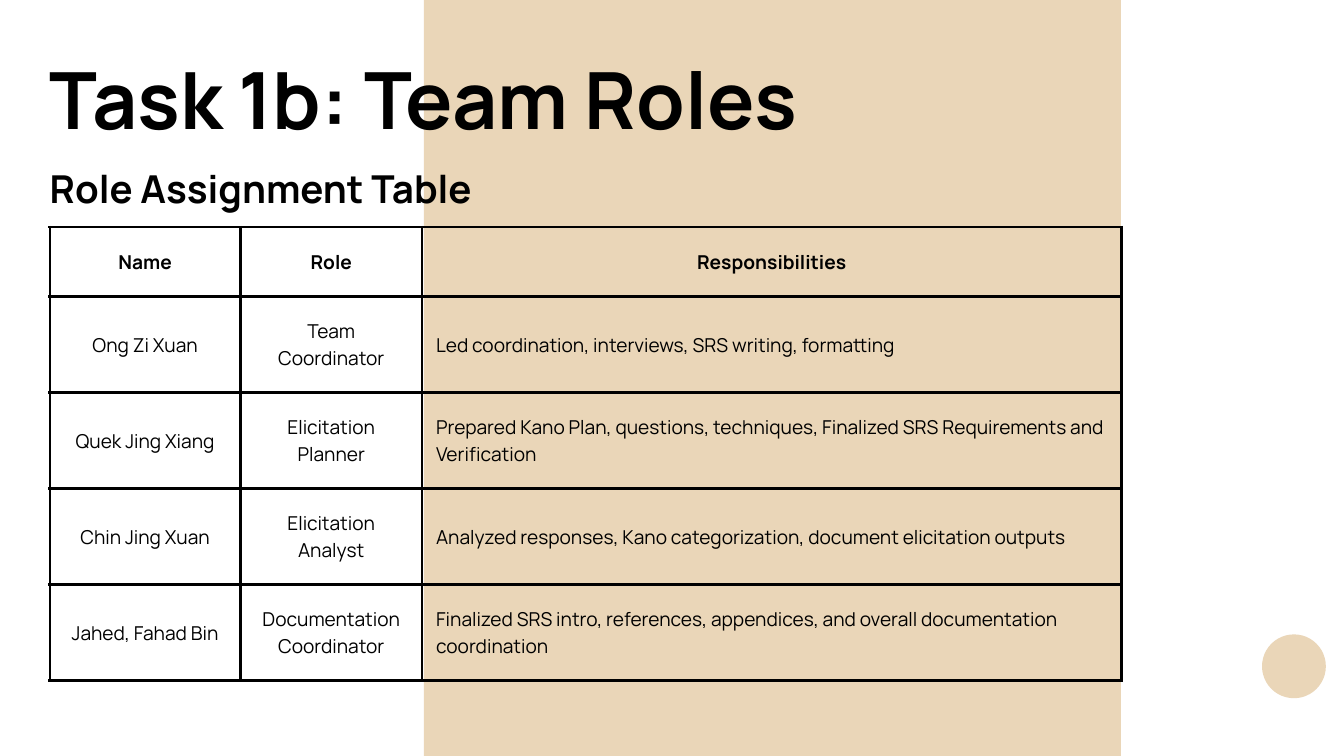
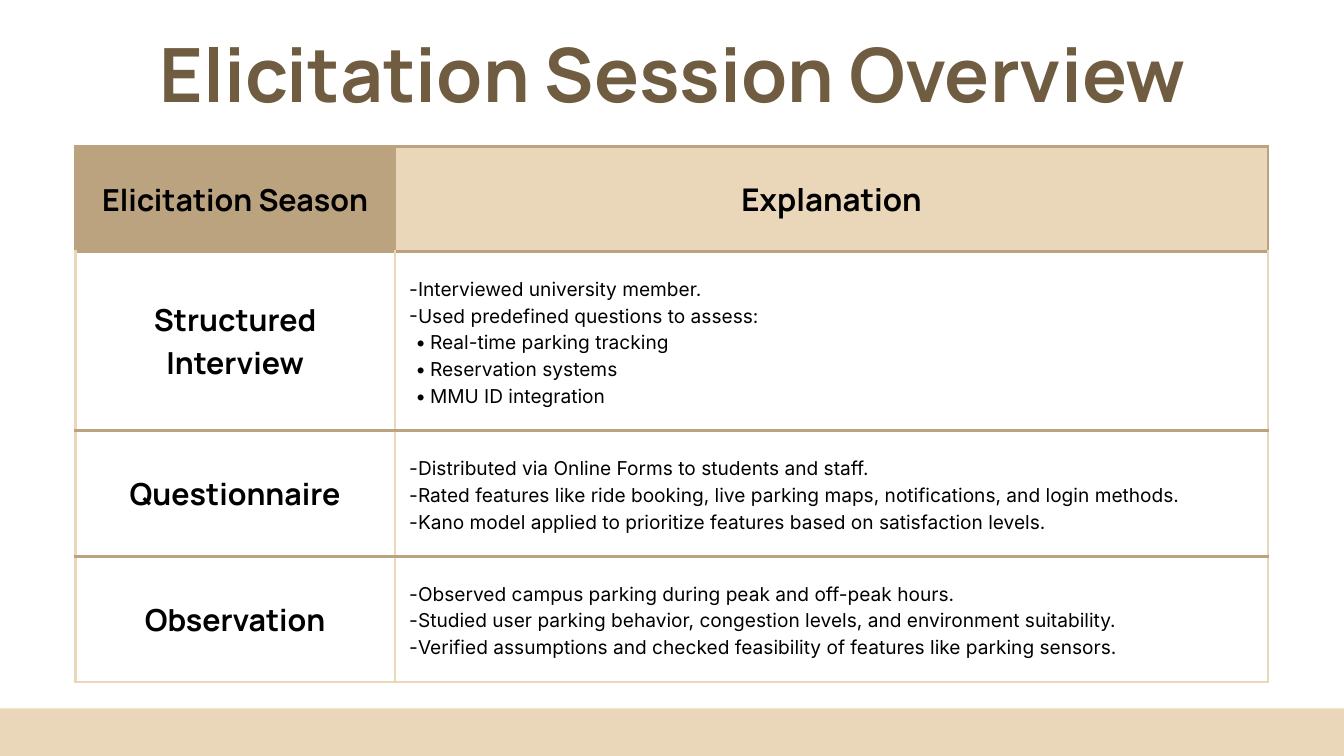
from lxml import etree
from pptx import Presentation
from pptx.dml.color import RGBColor
from pptx.enum.shapes import MSO_SHAPE
from pptx.enum.text import MSO_ANCHOR, PP_ALIGN
from pptx.oxml.ns import qn
from pptx.util import Inches, Pt

RECT, OVAL = MSO_SHAPE.RECTANGLE, MSO_SHAPE.OVAL
MIDDLE = MSO_ANCHOR.MIDDLE
LEFT, CENTER = PP_ALIGN.LEFT, PP_ALIGN.CENTER

COLORS = {"black": "000000", "sand": "EAD6B8", "tan": "BCA37F", "brown": "705C40"}
HEAD_FONT, BODY_FONT = "Manrope", "Inter"
CELL_SIZE, CELL_LEADING, CELL_MARGIN = 20.5, 28.7, 0.21
# marker: (text indent, distance from marker to text), in inches
BULLETS = {"-": (0.12, 0.12), "•": (0.31, 0.22)}

ROLES = [
    ("Name", "Role", "Responsibilities"),
    ("Ong Zi Xuan", "Team Coordinator",
     "Led coordination, interviews, SRS writing, formatting"),
    ("Quek Jing Xiang", "Elicitation Planner",
     "Prepared Kano Plan, questions, techniques, Finalized SRS Requirements and Verification"),
    ("Chin Jing Xuan", "Elicitation Analyst",
     "Analyzed responses, Kano categorization, document elicitation outputs"),
    ("Jahed, Fahad Bin", "Documentation Coordinator",
     "Finalized SRS intro, references, appendices, and overall documentation coordination"),
]

SESSIONS = [
    ("Structured Interview", [
        ("-", "Interviewed university member."),
        ("-", "Used predefined questions to assess:"),
        ("•", "Real-time parking tracking"),
        ("•", "Reservation systems"),
        ("•", "MMU ID integration")]),
    ("Questionnaire", [
        ("-", "Distributed via Online Forms to students and staff."),
        ("-", "Rated features like ride booking, live parking maps, notifications, and login methods."),
        ("-", "Kano model applied to prioritize features based on satisfaction levels.")]),
    ("Observation", [
        ("-", "Observed campus parking during peak and off-peak hours."),
        ("-", "Studied user parking behavior, congestion levels, and environment suitability."),
        ("-", "Verified assumptions and checked feasibility of features like parking sensors.")]),
]


def rgb(name):
    return RGBColor.from_string(COLORS[name])


def set_bullet(p, marker):
    indent, hang = BULLETS[marker]
    pPr = p._p.get_or_add_pPr()
    pPr.set("marL", str(Inches(indent)))
    pPr.set("indent", str(-Inches(hang)))
    etree.SubElement(pPr, qn("a:buFont")).set("typeface", BODY_FONT)
    etree.SubElement(pPr, qn("a:buChar")).set("char", marker)


def write(tf, text, size=CELL_SIZE, leading=CELL_LEADING, font=HEAD_FONT,
          color="black", bold=False, align=LEFT, bullet=None):
    """Fill the first paragraph if it is empty, otherwise append one."""
    p = tf.paragraphs[-1]
    if p.runs:
        p = tf.add_paragraph()
    p.alignment = align
    p.line_spacing = Pt(leading)
    if bullet:
        set_bullet(p, bullet)
    r = p.add_run()
    r.text = text
    r.font.size, r.font.name, r.font.bold = Pt(size), font, bold
    r.font.color.rgb = rgb(color)


def add_text(s, box, text, **fmt):
    tf = s.shapes.add_textbox(*map(Inches, box)).text_frame
    tf.word_wrap = True
    tf.margin_left = tf.margin_top = tf.margin_right = tf.margin_bottom = 0
    write(tf, text, bold=True, **fmt)


def add_block(s, kind, box):
    sp = s.shapes.add_shape(kind, *map(Inches, box))
    sp.shadow.inherit = False
    sp.fill.solid()
    sp.fill.fore_color.rgb = rgb("sand")
    sp.line.fill.background()


def add_grid(s, left, top, cols, rows):
    """Add an unstyled table with the given column widths and row heights."""
    box = left, top, sum(cols), sum(rows)
    table = s.shapes.add_table(len(rows), len(cols), *map(Inches, box)).table
    table.first_row = table.horz_banding = False
    for column, width in zip(table.columns, cols):
        column.width = Inches(width)
    for row, height in zip(table.rows, rows):
        row.height = Inches(height)
    return table


def format_cell(cell, left, right, top, bottom, fill=None):
    """Set margins, fill and the four border colours; return the text frame."""
    cell.vertical_anchor = MIDDLE
    cell.margin_left = cell.margin_right = Inches(CELL_MARGIN)
    cell.margin_top = cell.margin_bottom = Inches(CELL_MARGIN)
    if fill:
        cell.fill.solid()
        cell.fill.fore_color.rgb = rgb(fill)
    else:
        cell.fill.background()
    tcPr = cell._tc.get_or_add_tcPr()
    for i, (side, color) in enumerate(zip("LRTB", (left, right, top, bottom))):
        ln = etree.Element(qn(f"a:ln{side}"), w=str(Pt(3)))
        solid = etree.SubElement(ln, qn("a:solidFill"))
        etree.SubElement(solid, qn("a:srgbClr")).set("val", COLORS[color])
        tcPr.insert(i, ln)
    return cell.text_frame


def role_table(s, left, top):
    table = add_grid(s, left, top, [2.84, 2.7, 10.41], [1.03] + [1.43] * 4)
    for i, row in enumerate(ROLES):
        for j, text in enumerate(row):
            tf = format_cell(table.cell(i, j), *["black"] * 4)
            write(tf, text, bold=i == 0, align=LEFT if i and j == 2 else CENTER)


def session_table(s, left, top):
    table = add_grid(s, left, top, [4.76, 12.99], [1.56, 2.67, 1.87, 1.87])
    label = dict(size=32.5, leading=45.5, bold=True, align=CENTER)
    wide_label = dict(label, size=33.5, leading=46.9)
    headers = [("Elicitation Season", "tan", label), ("Explanation", "sand", wide_label)]
    for j, (text, fill, fmt) in enumerate(headers):
        write(format_cell(table.cell(0, j), *["tan"] * 4, fill=fill), text, **fmt)
    for i, (name, points) in enumerate(SESSIONS, 1):
        bottom = "sand" if i == len(SESSIONS) else "tan"
        name_tf, points_tf = [format_cell(table.cell(i, j), "sand", "sand", "tan", bottom)
                              for j in range(2)]
        write(name_tf, name, **label)
        for marker, text in points:
            write(points_tf, text, font=BODY_FONT, bullet=marker)


def roles_slide(s):
    left = 0.74
    add_block(s, RECT, (6.31, -0.52, 10.37, 12.29))
    add_block(s, OVAL, (18.78, 9.44, 0.95, 0.95))
    role_table(s, left, 3.38)
    add_text(s, (left, 0.64, 17.75, 1.58), "Task 1b: Team Roles", size=84.5, leading=109.9)
    add_text(s, (left, 2.34, 7.64, 0.8), "Role Assignment Table", size=41.2, leading=57.7)


def sessions_slide(s):
    session_table(s, 1.12, 2.18)
    add_block(s, RECT, (-0.56, 10.54, 21.14, 1.44))
    add_text(s, (-0.44, 0.19, 20.9, 3.13), "Elicitation Session Overview",
             size=80.2, leading=112.3, color="brown", align=CENTER)


def main():
    prs = Presentation()
    prs.slide_width, prs.slide_height = Inches(20), Inches(11.25)
    for build in (roles_slide, sessions_slide):
        build(prs.slides.add_slide(prs.slide_layouts[6]))
    prs.save("out.pptx")


if __name__ == "__main__":
    main()
